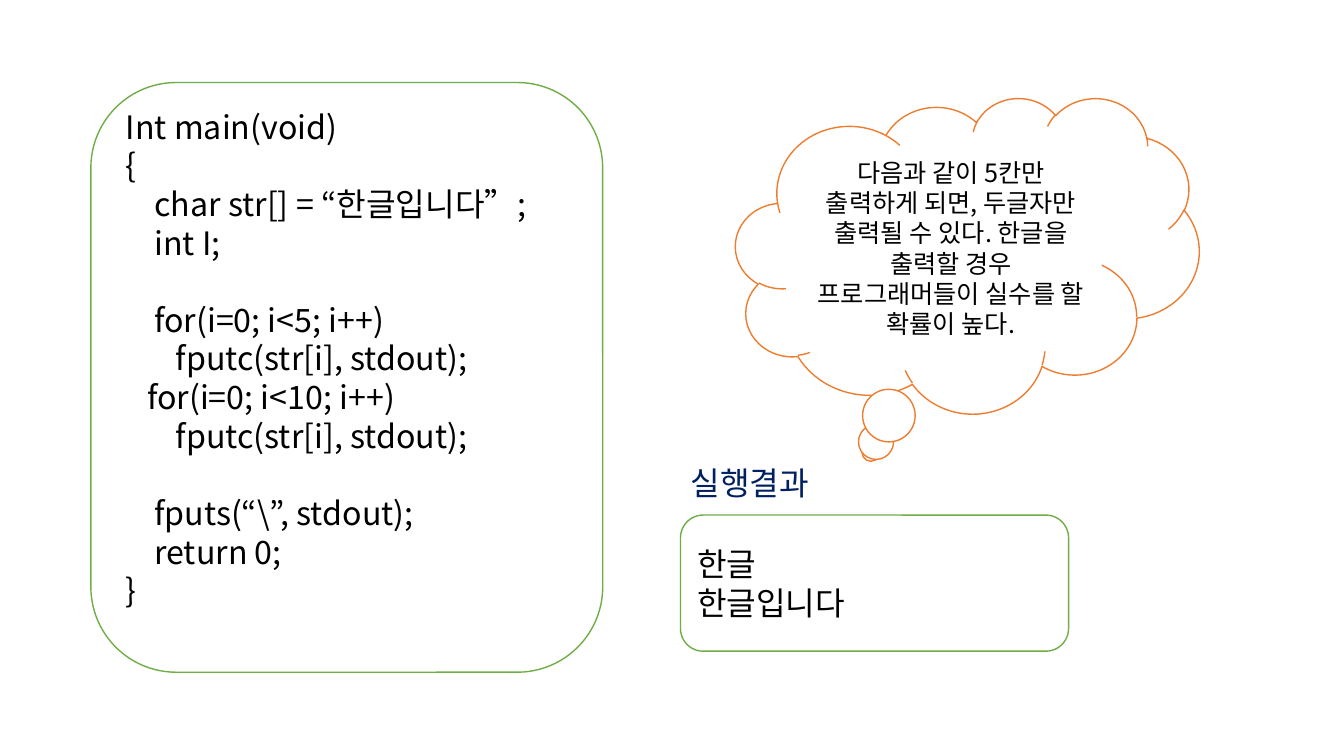
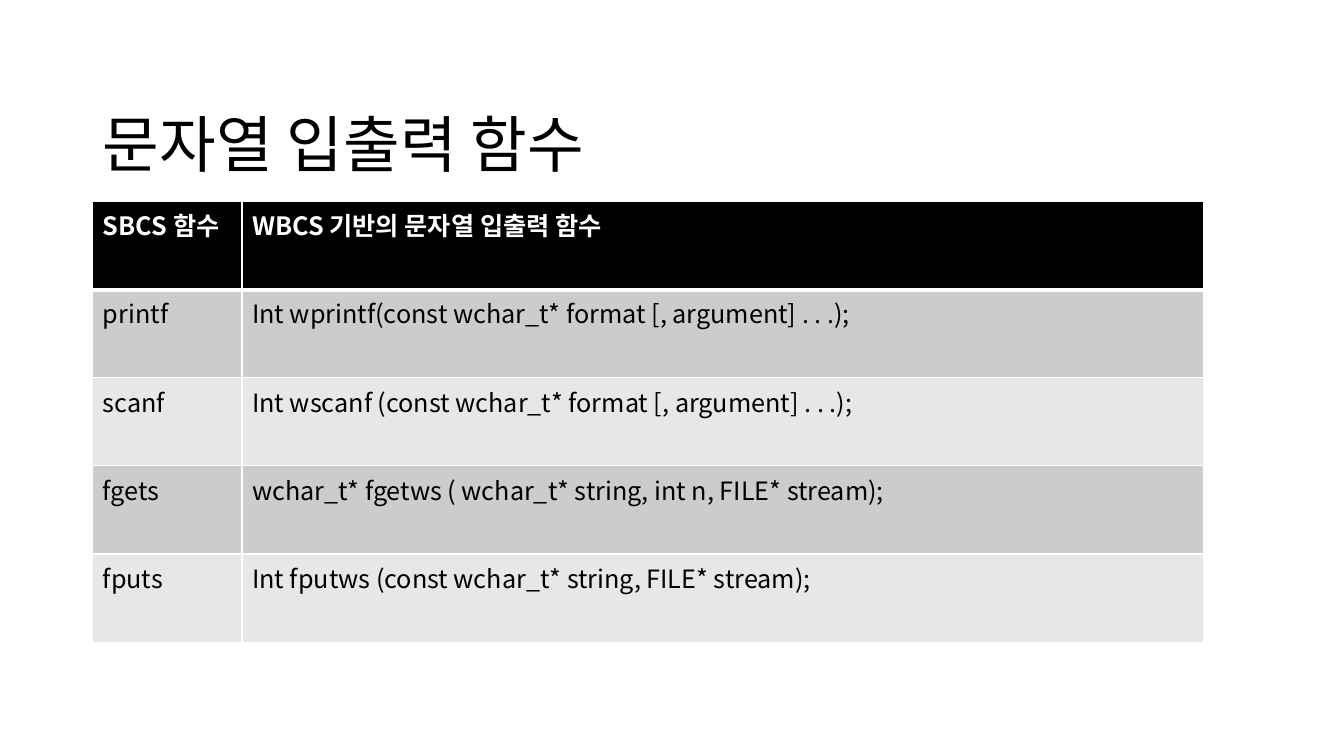
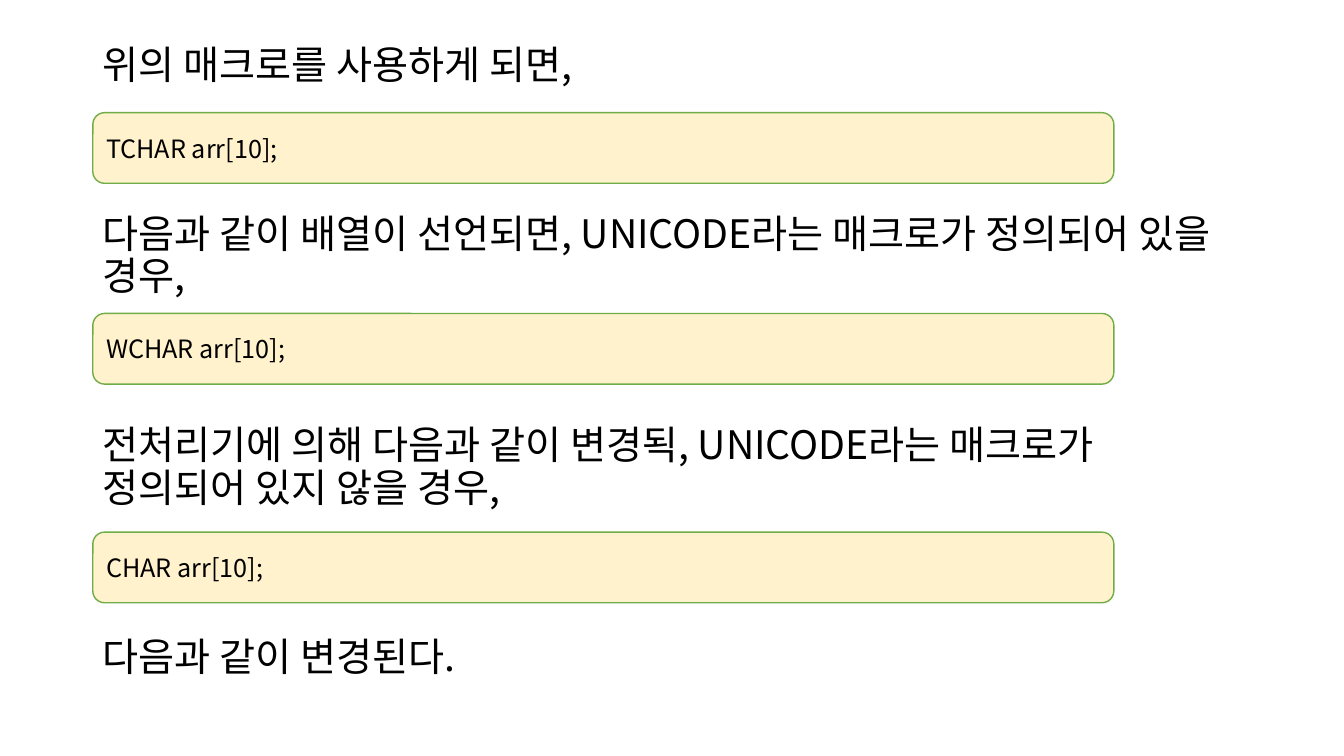
import lxml.etree
import pptx
import pptx.dml.color
import pptx.enum.shapes
import pptx.enum.text
import pptx.oxml.ns
import pptx.util

Cm, Pt = pptx.util.Cm, pptx.util.Pt
RGBColor = pptx.dml.color.RGBColor
SHAPE = pptx.enum.shapes.MSO_SHAPE
ALIGN = pptx.enum.text.PP_ALIGN
ANCHOR = pptx.enum.text.MSO_ANCHOR
qn = pptx.oxml.ns.qn

FONT = "Noto Sans CJK KR"
BLACK = RGBColor(0x00, 0x00, 0x00)
WHITE = RGBColor(0xFF, 0xFF, 0xFF)
GREEN = RGBColor(0x70, 0xAD, 0x47)
ORANGE = RGBColor(0xED, 0x7D, 0x31)
NAVY = RGBColor(0x00, 0x20, 0x60)
CREAM = RGBColor(0xFF, 0xF2, 0xCC)
BANDS = (RGBColor(0xCC, 0xCC, 0xCC), RGBColor(0xE7, 0xE7, 0xE7))

# Each code line: indent in characters, blank lines before it, text
CODE = [
    (0, 0, "Int main(void)"),
    (0, 0, "{"),
    (4, 0, "char str[] = “한글입니다”;"),
    (4, 0, "int I;"),
    (4, 1, "for(i=0; i<5; i++)"),
    (7, 0, "fputc(str[i], stdout);"),
    (3, 0, "for(i=0; i<10; i++)"),
    (7, 0, "fputc(str[i], stdout);"),
    (4, 1, "fputs(“\\”, stdout);"),
    (4, 0, "return 0;"),
    (0, 0, "}"),
]
RESULT_LABEL = "실행결과"
RESULT = ["한글", "한글입니다"]
REMARK = ("다음과 같이 5칸만 출력하게 되면, 두글자만 출력될 수 있다. "
          "한글을 출력할 경우 프로그래머들이 실수를 할 확률이 높다.")

TABLE_TITLE = "문자열 입출력 함수"
FUNCTIONS = [
    ("SBCS 함수", "WBCS 기반의 문자열 입출력 함수"),
    ("printf", "Int wprintf(const wchar_t* format [, argument] . . .);"),
    ("scanf", "Int wscanf (const wchar_t* format [, argument] . . .);"),
    ("fgets", "wchar_t* fgetws ( wchar_t* string, int n, FILE* stream);"),
    ("fputs", "Int fputws (const wchar_t* string, FILE* stream);"),
]

MACRO_STEPS = [
    "위의 매크로를 사용하게 되면,",
    "다음과 같이 배열이 선언되면, UNICODE라는 매크로가 정의되어 있을 경우,",
    "전처리기에 의해 다음과 같이 변경됙, UNICODE라는 매크로가 정의되어 있지 않을 경우,",
    "다음과 같이 변경된다.",
]
# Top edge in cm and text
DECLARATIONS = [
    (2.84, "TCHAR arr[10];"),
    (7.9, "WCHAR arr[10];"),
    (13.41, "CHAR arr[10];"),
]

LEFT = 2.34
CONTENT_WIDTH = 29.21
CODE_SIZE = 23
CODE_LINE = 27.6
CHARACTER_WIDTH = 0.18


def place(shape, left, top, width, height):
    """Move and size a shape, in centimetres."""
    shape.left, shape.top = Cm(left), Cm(top)
    shape.width, shape.height = Cm(width), Cm(height)


def write(frame, lines, size, color=BLACK, align=ALIGN.LEFT, bold=False):
    """Fill a text frame with one paragraph a line and return the paragraphs."""
    frame.text = "\n".join(lines)
    frame.word_wrap = True
    for paragraph in frame.paragraphs:
        paragraph.alignment = align
        font = paragraph.font
        font.name, font.size, font.bold = FONT, Pt(size), bold
        font.color.rgb = color
        defaults = paragraph._p.pPr.find(qn("a:defRPr"))
        lxml.etree.SubElement(defaults, qn("a:ea"), typeface=FONT)
    return frame.paragraphs


def add_box(slide, kind, box, lines, size, fill=WHITE, line=GREEN, align=ALIGN.LEFT):
    """Add an outlined preset shape with text and return it."""
    shape = slide.shapes.add_shape(kind, *map(Cm, box))
    shape.shadow.inherit = False
    shape.fill.solid()
    shape.fill.fore_color.rgb = fill
    shape.line.color.rgb = line
    shape.line.width = Pt(1)
    shape.text_frame.vertical_anchor = ANCHOR.MIDDLE
    write(shape.text_frame, lines, size, align=align)
    return shape


def set_borders(cell, bottom):
    """Give a cell thin white borders and a bottom one of its own width."""
    properties = cell._tc.get_or_add_tcPr()
    for side, width in (("L", 1), ("R", 1), ("T", 1), ("B", bottom)):
        border = lxml.etree.SubElement(
            properties, qn("a:ln" + side), w=str(Pt(width)))
        fill = lxml.etree.SubElement(border, qn("a:solidFill"))
        lxml.etree.SubElement(fill, qn("a:srgbClr"), val=str(WHITE))


def build_code_slide(presentation):
    """Program listing, its result and a thought cloud."""
    slide = presentation.slides.add_slide(presentation.slide_layouts[6])
    code_box = add_box(slide, SHAPE.ROUNDED_RECTANGLE, (2.29, 2.08, 12.9, 14.86),
                       [text for _, _, text in CODE], CODE_SIZE)
    code_box.text_frame.margin_bottom = Cm(1.1)
    for paragraph, (indent, blanks, _) in zip(code_box.text_frame.paragraphs, CODE):
        paragraph.space_before = Pt(blanks * CODE_LINE)
        paragraph._p.pPr.set("marL", str(Cm(indent * CHARACTER_WIDTH)))

    add_box(slide, SHAPE.ROUNDED_RECTANGLE, (17.15, 12.98, 9.78, 3.43),
            RESULT, CODE_SIZE)
    label = slide.shapes.add_textbox(*map(Cm, (17.15, 11.56, 5.08, 1.24)))
    write(label.text_frame, [RESULT_LABEL], CODE_SIZE, NAVY)
    add_box(slide, SHAPE.CLOUD_CALLOUT, (18.54, 2.46, 11.68, 7.95),
            [REMARK], 18, line=ORANGE, align=ALIGN.CENTER)


def build_table_slide(presentation):
    """Title and table of string functions."""
    slide = presentation.slides.add_slide(presentation.slide_layouts[5])
    title = slide.shapes.title
    place(title, LEFT, 2.21, CONTENT_WIDTH, 3)
    title.text_frame.vertical_anchor = ANCHOR.MIDDLE
    write(title.text_frame, [TABLE_TITLE], 44)[0].line_spacing = 0.9

    widths, row_height = (3.76, 24.23), 2.22
    table = slide.shapes.add_table(
        len(FUNCTIONS), len(widths), Cm(LEFT), Cm(5.08),
        Cm(sum(widths)), Cm(row_height * len(FUNCTIONS))).table
    for column, width in zip(table.columns, widths):
        column.width = Cm(width)
    for row_index, texts in enumerate(FUNCTIONS):
        header = row_index == 0
        for column_index, text in enumerate(texts):
            cell = table.cell(row_index, column_index)
            set_borders(cell, 3 if header else 1)
            cell.fill.solid()
            cell.fill.fore_color.rgb = BLACK if header else BANDS[(row_index - 1) % 2]
            write(cell.text_frame, [text], 18, WHITE if header else BLACK, bold=header)


def build_macro_slide(presentation):
    """Explanation with a declaration box after each step."""
    slide = presentation.slides.add_slide(presentation.slide_layouts[1])
    title = slide.shapes.title
    title.element.getparent().remove(title.element)
    body = slide.placeholders[1]
    place(body, LEFT, 1.02, CONTENT_WIDTH, 16.38)
    body.text_frame.auto_size = pptx.enum.text.MSO_AUTO_SIZE.NONE
    for index, paragraph in enumerate(write(body.text_frame, MACRO_STEPS, 28)):
        paragraph.line_spacing = 0.9
        paragraph.space_before = Pt(90.5 if index else 10)
        properties = paragraph._p.pPr
        properties.set("marL", "0")
        properties.set("indent", "0")
        properties.find(qn("a:defRPr")).addprevious(
            lxml.etree.Element(qn("a:buNone")))
    for top, text in DECLARATIONS:
        add_box(slide, SHAPE.ROUNDED_RECTANGLE, (LEFT, top, 25.73, 1.78),
                [text], 18, fill=CREAM)


presentation = pptx.Presentation()
presentation.slide_width, presentation.slide_height = Cm(33.87), Cm(19.05)
build_code_slide(presentation)
build_table_slide(presentation)
build_macro_slide(presentation)
presentation.save("out.pptx")
